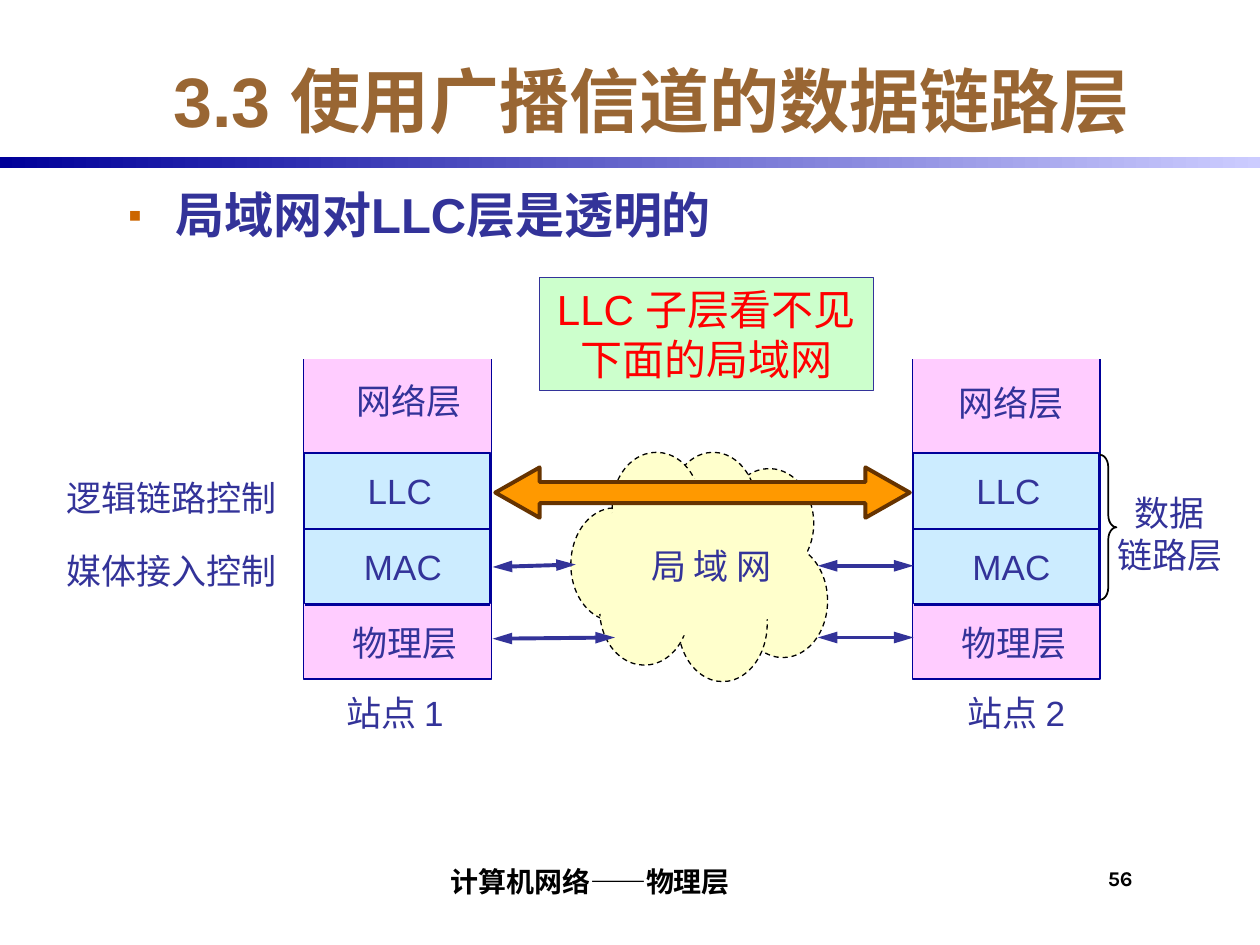
from lxml import etree
from pptx import Presentation
from pptx.dml.color import RGBColor
from pptx.enum.dml import MSO_LINE
from pptx.enum.shapes import MSO_CONNECTOR, MSO_SHAPE
from pptx.enum.text import MSO_ANCHOR, PP_ALIGN
from pptx.oxml.ns import qn
from pptx.util import Pt

INDIGO, NAVY, BLACK = "333399", "000099", "000000"
PINK, SKY, CREAM = "FFCCFF", "CCECFF", "FFFFCC"
TITLE = "3.3 使用广播信道的数据链路层"
BULLET = "局域网对LLC层是透明的"
STATION_LEFTS = (173.5, 521.3)
DIVIDERS = (259.2, 302.4, 345.6)
LABELS = [
    ("网络层", 196.6, 213.1, 77), ("网络层", 540.7, 214.6, 77),
    ("LLC", 203, 265, 54), ("LLC", 550.8, 265, 54),
    ("MAC", 200.9, 308.2, 62), ("MAC", 548.6, 308.2, 62),
    ("物理层", 194.4, 351.4, 77), ("物理层", 542.2, 351.4, 77),
    ("站点 1", 190.8, 391.7, 78), ("站点 2", 545.8, 391.7, 78),
    ("逻辑链路控制", 31, 268.6, 137), ("媒体接入控制", 31, 310.3, 137),
    ("局 域 网", 365, 307.4, 86),
]
CLOUD_PUFFS = [
    (421.9, 311, 51, 64.8), (326.2, 290.2, 50.4, 64.8), (414, 267.8, 51, 62.6),
    (387.4, 323.3, 51, 66.2), (342.7, 317.5, 51, 62.6), (382.3, 258.5, 50.4, 64.8),
    (349.9, 258.5, 50.4, 61.9),
]
CLOUD_CENTRE = (339.1, 273.6, 122.4, 90)
CLOUD_PATCH = [(344.2, 334.1), (347, 337), (344.2, 350.6), (341, 351), (342, 344)]
LINKS = [
    (281.5, 365, 351.4, 364.3), (522, 364.3, 467.3, 364.3),
    (281.5, 324, 329, 322.6), (522, 323.3, 467.3, 323.3),
]


def color(value):
    """Turn a hex string into a colour."""
    return RGBColor.from_string(value)


def paint(shape, fill=None, line=None, width=0.75):
    """Set fill and line, and remove the shadow."""
    shape.shadow.inherit = False
    if fill:
        shape.fill.solid()
        shape.fill.fore_color.rgb = color(fill)
    else:
        shape.fill.background()
    if line:
        shape.line.color.rgb = color(line)
        shape.line.width = Pt(width)
    else:
        shape.line.fill.background()
    return shape


def add_shape(slide, kind, box, *style):
    """Add a painted preset shape."""
    return paint(slide.shapes.add_shape(kind, *map(Pt, box)), *style)


def add_outline(slide, points, closed, *style):
    """Add a painted polygon or open outline."""
    corners = [(Pt(x), Pt(y)) for x, y in points]
    builder = slide.shapes.build_freeform(*corners[0], scale=1.0)
    builder.add_line_segments(corners[1:], close=closed)
    return paint(builder.convert_to_shape(), *style)


def add_line(slide, ends, line, width, arrows=False):
    """Add a straight connector, with arrowheads at both ends if asked."""
    connector = slide.shapes.add_connector(MSO_CONNECTOR.STRAIGHT, *map(Pt, ends))
    connector.line.color.rgb = color(line)
    connector.line.width = Pt(width)
    if arrows:
        for tag in ("a:headEnd", "a:tailEnd"):
            etree.SubElement(connector.line._get_or_add_ln(), qn(tag),
                             type="triangle", w="med", len="lg")
    etree.SubElement(connector._element.spPr, qn("a:effectLst"))


def write(shape, lines, size, ink, bold=False, font="Arial", align=PP_ALIGN.LEFT,
          anchor=MSO_ANCHOR.TOP, insets=(7.2, 3.6, 7.2, 3.6), wrap=False):
    """Fill a shape with evenly formatted paragraphs."""
    frame = shape.text_frame
    frame.word_wrap = wrap
    frame.vertical_anchor = anchor
    frame.margin_left, frame.margin_top, frame.margin_right, frame.margin_bottom = map(Pt, insets)
    frame.text = "\n".join(lines)
    for paragraph in frame.paragraphs:
        paragraph.alignment = align
        paragraph.font.size = Pt(size)
        paragraph.font.name = font
        paragraph.font.bold = bold
        paragraph.font.color.rgb = color(ink)


def add_text(slide, box, *content, **style):
    """Add a text box."""
    shape = slide.shapes.add_textbox(*map(Pt, box))
    write(shape, *content, **style)
    return shape


def add_heading(slide):
    """Add the title, the gradient rule and the bullet line."""
    rule = add_shape(slide, MSO_SHAPE.RECTANGLE, (0, 90, 720, 6))
    rule.fill.gradient()
    rule.fill.gradient_angle = 0
    for stop, value, position in zip(rule.fill.gradient_stops, (NAVY, "CCCCFF"), (0, 1)):
        stop.color.rgb = color(value)
        stop.position = position
    title = slide.shapes.title
    title.left, title.top, title.width, title.height = map(Pt, (66.2, 23.8, 612, 66.2))
    write(title, [TITLE], 40, "996633", bold=True, align=PP_ALIGN.CENTER,
          anchor=MSO_ANCHOR.MIDDLE, wrap=True)
    body = add_text(slide, (66.2, 102.2, 612, 360), [BULLET], 28, INDIGO, bold=True, wrap=True)
    properties = body.text_frame.paragraphs[0]._p.get_or_add_pPr()
    properties.set("marL", str(Pt(27)))
    properties.set("indent", str(Pt(-27)))
    bullet_color = etree.Element(qn("a:buClr"))
    etree.SubElement(bullet_color, qn("a:srgbClr"), val="CC6600")
    bullet_size = etree.Element(qn("a:buSzPct"), val="80000")
    bullet_font = etree.Element(qn("a:buFont"), typeface="Arial")
    bullet_mark = etree.Element(qn("a:buChar"), char="▪")
    for index, element in enumerate((bullet_color, bullet_size, bullet_font, bullet_mark)):
        properties.insert(index, element)


def add_station(slide, left):
    """Add one protocol stack with its layer dividers."""
    top, right, bottom = 205.2, left + 107.3, 388.1
    corners = [(left, top), (left, bottom), (right, bottom), (right, top)]
    add_outline(slide, corners, False, PINK, NAVY)
    add_shape(slide, MSO_SHAPE.RECTANGLE, (left + 0.7, 258.5, 105.9, 86.4), SKY, NAVY)
    for y in DIVIDERS:
        add_line(slide, (left + 0.7, y, left + 106.6, y), NAVY, 1)


def add_cloud(slide):
    """Add the network cloud."""
    for box in CLOUD_PUFFS:
        puff = add_shape(slide, MSO_SHAPE.OVAL, box, CREAM, BLACK)
        puff.line.dash_style = MSO_LINE.DASH
    add_shape(slide, MSO_SHAPE.OVAL, CLOUD_CENTRE, CREAM)
    add_outline(slide, CLOUD_PATCH, True, CREAM)


def main():
    """Build and save the slide."""
    presentation = Presentation()
    presentation.slide_width, presentation.slide_height = Pt(720), Pt(540)
    slide = presentation.slides.add_slide(presentation.slide_layouts[5])
    add_heading(slide)
    for left in STATION_LEFTS:
        add_station(slide, left)
    add_cloud(slide)
    for ends in LINKS:
        add_line(slide, ends, INDIGO, 2.25, arrows=True)
    arrow = add_shape(slide, MSO_SHAPE.LEFT_RIGHT_ARROW, (283, 267.1, 236.9, 28.8),
                      "FF9900", "663300", 2.25)
    arrow.adjustments[0], arrow.adjustments[1] = 0.42, 0.88
    brace = add_shape(slide, MSO_SHAPE.RIGHT_BRACE, (628.6, 259.9, 9.4, 82.8), None, BLACK, 1)
    brace.adjustments[0] = 0.75
    for text, left, top, width in LABELS:
        add_text(slide, (left, top, width, 31), [text], 20, INDIGO)
    add_text(slide, (630, 277.2, 77, 54.7), ["数据", "链路层"], 20, INDIGO,
             align=PP_ALIGN.CENTER)
    note = add_shape(slide, MSO_SHAPE.RECTANGLE, (308.2, 158.4, 190.8, 64.8), "CCFFCC", INDIGO)
    write(note, ["LLC 子层看不见", "下面的局域网"], 24, "FF0000", align=PP_ALIGN.CENTER)
    add_text(slide, (149.8, 486, 372.2, 30.2), ["计算机网络——物理层"], 16, BLACK, bold=True,
             font="Karla", align=PP_ALIGN.CENTER, anchor=MSO_ANCHOR.BOTTOM,
             insets=(3, 0, 0, 3), wrap=True)
    add_text(slide, (630, 491.8, 41.8, 30.2), ["56"], 12, BLACK, bold=True,
             font="Karla", insets=(3, 3, 0, 0), wrap=True)
    presentation.save("out.pptx")


if __name__ == "__main__":
    main()
